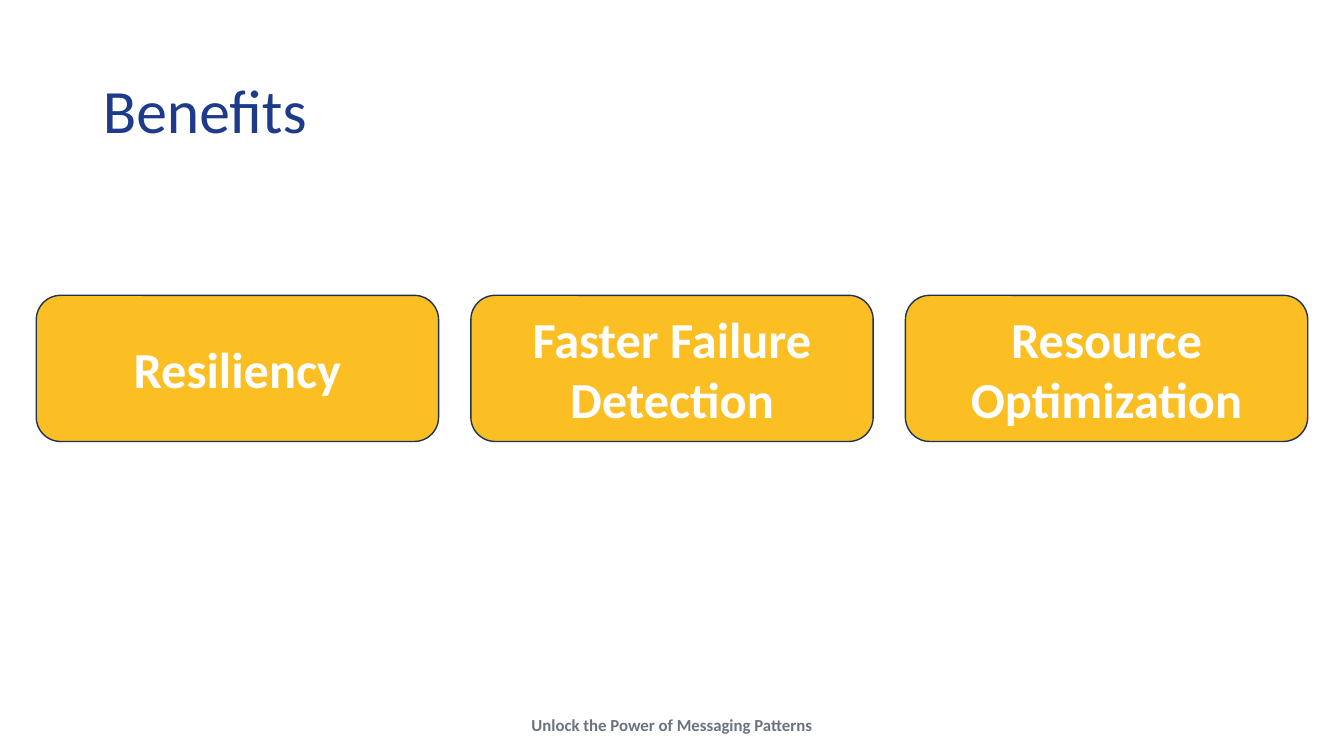
from pptx import Presentation
from pptx.dml.color import RGBColor
from pptx.enum import shapes, text
from pptx.util import Inches, Pt

NAVY = RGBColor(0x1E, 0x3A, 0x8A)
OUTLINE = RGBColor(0x1E, 0x32, 0x56)
AMBER = RGBColor(0xFB, 0xBF, 0x24)
GRAY = RGBColor(0x6B, 0x72, 0x80)
WHITE = RGBColor(0xFF, 0xFF, 0xFF)

BENEFITS = ["Resiliency", "Faster Failure Detection", "Resource Optimization"]
FIRST_LEFT = 0.36
CARD_WIDTH = 3.99
CARD_GAP = 0.32


def write(frame, words, size, color, bold, align):
    frame.text = words
    frame.vertical_anchor = text.MSO_ANCHOR.MIDDLE
    para = frame.paragraphs[0]
    para.alignment = align
    font = para.runs[0].font
    font.name = "Calibri"
    font.size = Pt(size)
    font.bold = bold
    font.color.rgb = color


def add_title(page, words):
    title = page.shapes.title
    title.left, title.top = Inches(0.92), Inches(0.4)
    title.width, title.height = Inches(11.5), Inches(1.45)
    write(title.text_frame, words, 44, NAVY, False, text.PP_ALIGN.LEFT)
    title.text_frame.paragraphs[0].line_spacing = 0.9


def add_card(page, left, words):
    card = page.shapes.add_shape(
        shapes.MSO_SHAPE.ROUNDED_RECTANGLE,
        Inches(left), Inches(2.93), Inches(CARD_WIDTH), Inches(1.45))
    card.shadow.inherit = False
    card.fill.solid()
    card.fill.fore_color.rgb = AMBER
    card.line.color.rgb = OUTLINE
    card.line.width = Pt(1)
    write(card.text_frame, words, 36, WHITE, True, text.PP_ALIGN.CENTER)


def add_footer(page, words):
    box = page.shapes.add_textbox(
        Inches(5.15), Inches(7.04), Inches(3.03), Inches(0.3))
    box.text_frame.word_wrap = False
    box.text_frame.auto_size = text.MSO_AUTO_SIZE.SHAPE_TO_FIT_TEXT
    write(box.text_frame, words, 12, GRAY, True, text.PP_ALIGN.CENTER)


def main():
    deck = Presentation()
    deck.slide_width, deck.slide_height = Inches(13.33), Inches(7.5)
    page = deck.slides.add_slide(deck.slide_layouts.get_by_name("Title Only"))
    add_footer(page, "Unlock the Power of Messaging Patterns")
    add_title(page, "Benefits")
    for index, benefit in enumerate(BENEFITS):
        add_card(page, FIRST_LEFT + index * (CARD_WIDTH + CARD_GAP), benefit)
    deck.save("out.pptx")


if __name__ == "__main__":
    main()
